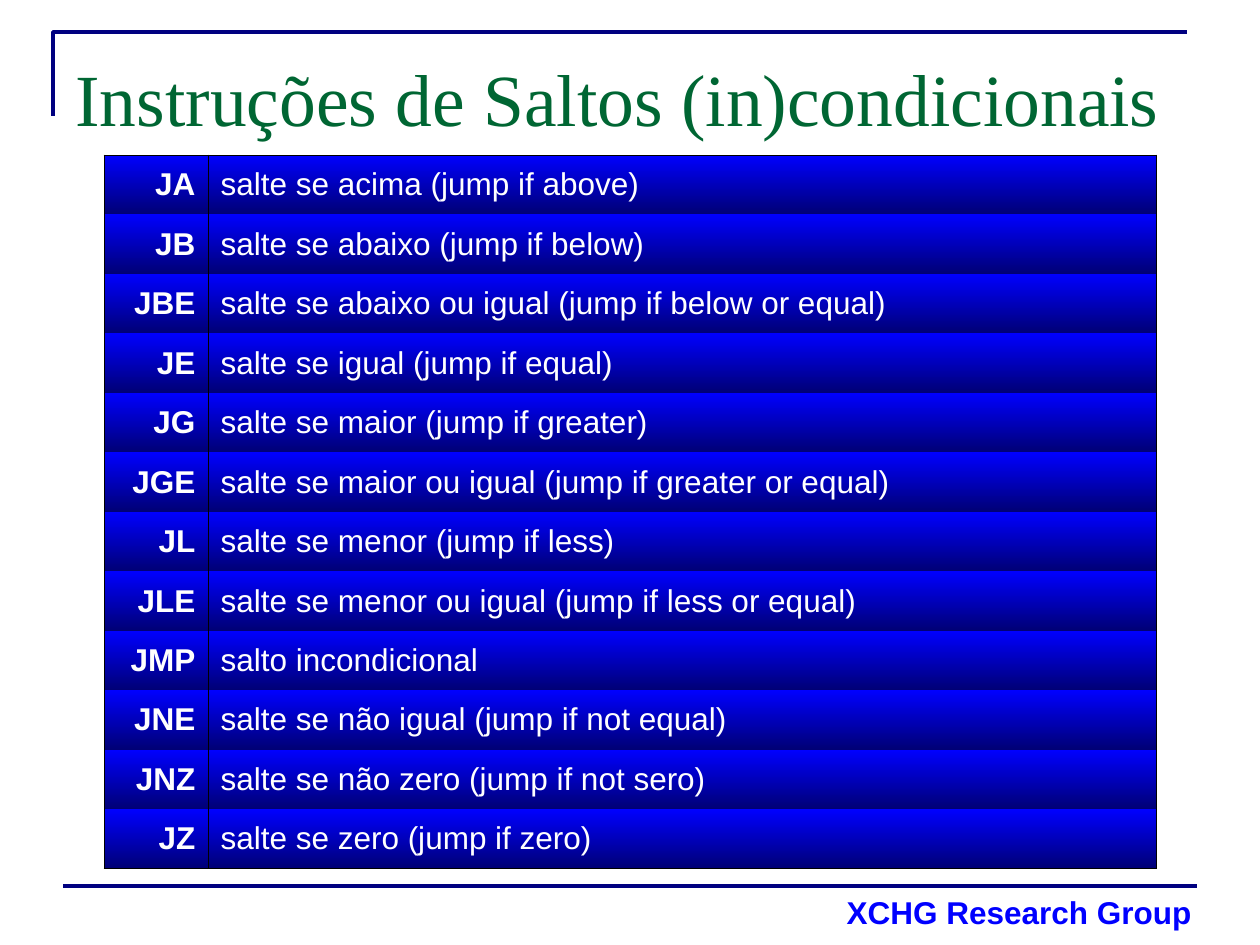
import pptx
import pptx.util
import pptx.dml.color
import pptx.enum.shapes
import pptx.enum.text
import pptx.oxml
import pptx.oxml.ns

EMU_PER_PX = 914400 / 126
WHITE = pptx.dml.color.RGBColor(0xFF, 0xFF, 0xFF)
BLUE = pptx.dml.color.RGBColor(0x00, 0x00, 0xFF)
DARK_BLUE = pptx.dml.color.RGBColor(0x00, 0x00, 0x75)
NAVY = pptx.dml.color.RGBColor(0x00, 0x00, 0x80)
GREEN = pptx.dml.color.RGBColor(0x00, 0x66, 0x33)
LEFT = pptx.enum.text.PP_ALIGN.LEFT
RIGHT = pptx.enum.text.PP_ALIGN.RIGHT


def px(n):
    return pptx.util.Emu(round(n * EMU_PER_PX))


def write(p, text, align, color, fmt):
    p.alignment = align
    r = p.add_run()
    r.text = text
    r.font.color.rgb = color
    for name, value in fmt.items():
        setattr(r.font, name, value)


prs = pptx.Presentation()
prs.slide_width, prs.slide_height = px(1260), px(945)
s = prs.slides.add_slide(prs.slide_layouts[6])

fb = s.shapes.build_freeform(px(53), px(116))
fb.add_line_segments([(px(53), px(32)), (px(1187), px(32))], close=False)
sp = fb.convert_to_shape()
sp.shadow.inherit = False
sp.fill.background()
sp.line.color.rgb = NAVY
sp.line.width = pptx.util.Pt(2)

sp = s.shapes.add_connector(
    pptx.enum.shapes.MSO_CONNECTOR.STRAIGHT, px(63), px(886), px(1197), px(886))
sp.line.color.rgb = NAVY
sp.line.width = pptx.util.Pt(2.75)
pptx.oxml.ns.qn("a:effectLst")
sp._element.spPr.append(
    pptx.oxml.parse_xml(f'<a:effectLst {pptx.oxml.ns.nsdecls("a")}/>'))

texts = [
    ((44, 887, 1160, 58), 6, "XCHG Research Group", RIGHT, BLUE,
     {"name": "Arial", "size": pptx.util.Pt(18), "bold": True}),
    ((63, 38, 1134, 157), 15, "Instruções de Saltos (in)condicionais", LEFT, GREEN,
     {"name": "Times New Roman", "size": pptx.util.Pt(42)}),
]
for box, top, text, align, color, fmt in texts:
    tf = s.shapes.add_textbox(*map(px, box)).text_frame
    tf.word_wrap = True
    tf.margin_top = px(top)
    write(tf.paragraphs[0], text, align, color, fmt)

rows = [
    ("JA", "salte se acima (jump if above)"),
    ("JB", "salte se abaixo (jump if below)"),
    ("JBE", "salte se abaixo ou igual (jump if below or equal)"),
    ("JE", "salte se igual (jump if equal)"),
    ("JG", "salte se maior (jump if greater)"),
    ("JGE", "salte se maior ou igual (jump if greater or equal)"),
    ("JL", "salte se menor (jump if less)"),
    ("JLE", "salte se menor ou igual (jump if less or equal)"),
    ("JMP", "salto incondicional"),
    ("JNE", "salte se não igual (jump if not equal)"),
    ("JNZ", "salte se não zero (jump if not sero)"),
    ("JZ", "salte se zero (jump if zero)"),
]
table = s.shapes.add_table(len(rows), 2, px(104), px(155), px(1052), px(714)).table
for name in ("first_row", "horz_banding"):
    setattr(table, name, False)
for column, width in zip(table.columns, (104, 948)):
    column.width = px(width)

for i, row in enumerate(rows):
    table.rows[i].height = px(714) // len(rows)
    for j, (text, align) in enumerate(zip(row, (RIGHT, LEFT))):
        cell = table.cell(i, j)
        cell.vertical_anchor = pptx.enum.text.MSO_ANCHOR.MIDDLE
        cell.fill.gradient()
        cell.fill.gradient_angle = 270
        for stop, color in zip(cell.fill.gradient_stops, (BLUE, DARK_BLUE)):
            stop.color.rgb = color
        p = cell.text_frame.paragraphs[0]
        pPr = p._p.get_or_add_pPr()
        pPr.set("marL", str(px(48)))
        pPr.set("indent", str(-px(48)))
        write(p, text, align, WHITE,
              {"name": "Arial", "size": pptx.util.Pt(18), "bold": j == 0})
        edges = {"L": True, "R": True, "T": i == 0, "B": i == len(rows) - 1}
        for k, (edge, drawn) in enumerate(edges.items()):
            paint = ('<a:solidFill><a:srgbClr val="000000"/></a:solidFill>'
                     if drawn else "<a:noFill/>")
            cell._tc.get_or_add_tcPr().insert(k, pptx.oxml.parse_xml(
                f'<a:ln{edge} {pptx.oxml.ns.nsdecls("a")} w="5715">{paint}</a:ln{edge}>'))

prs.save("out.pptx")
